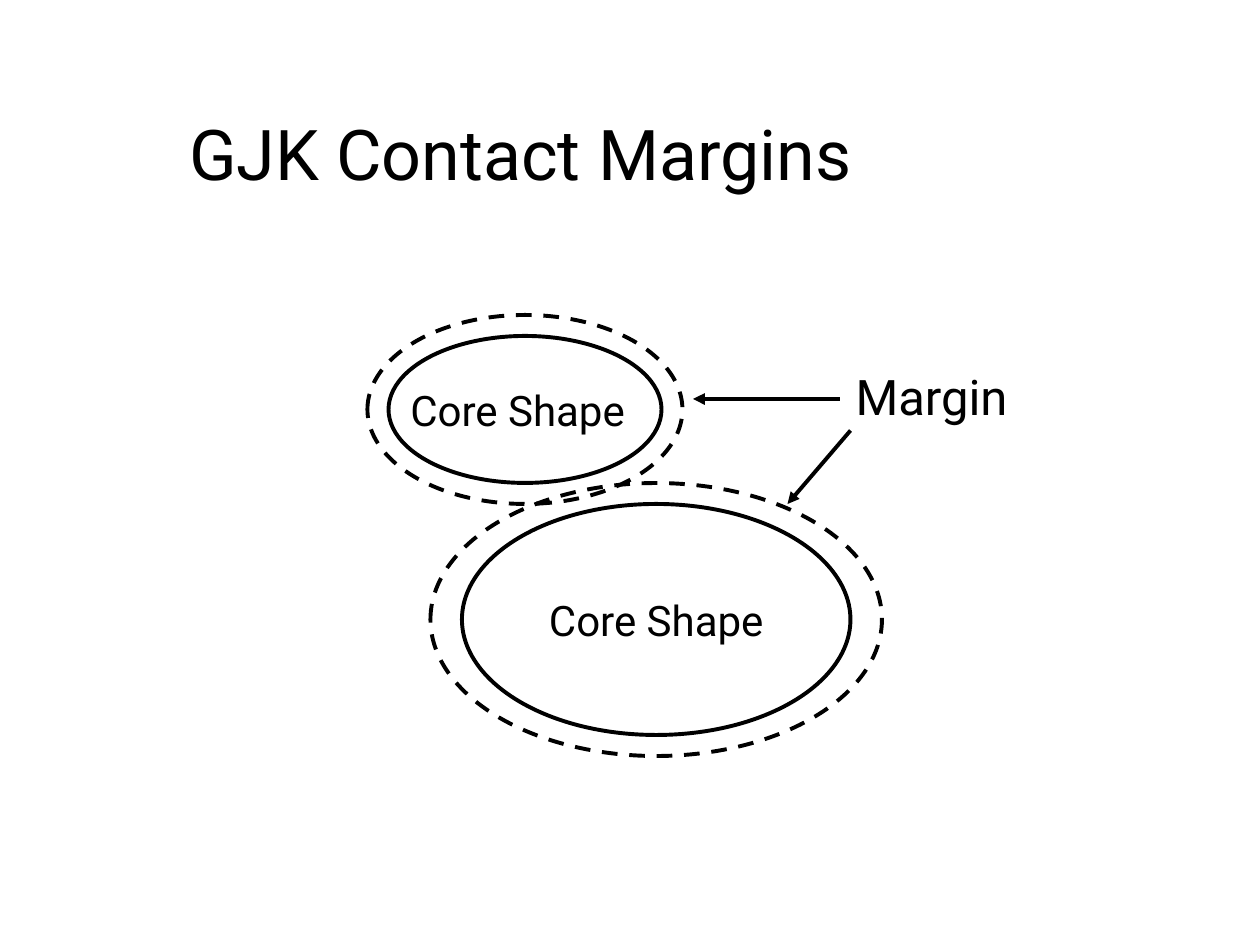
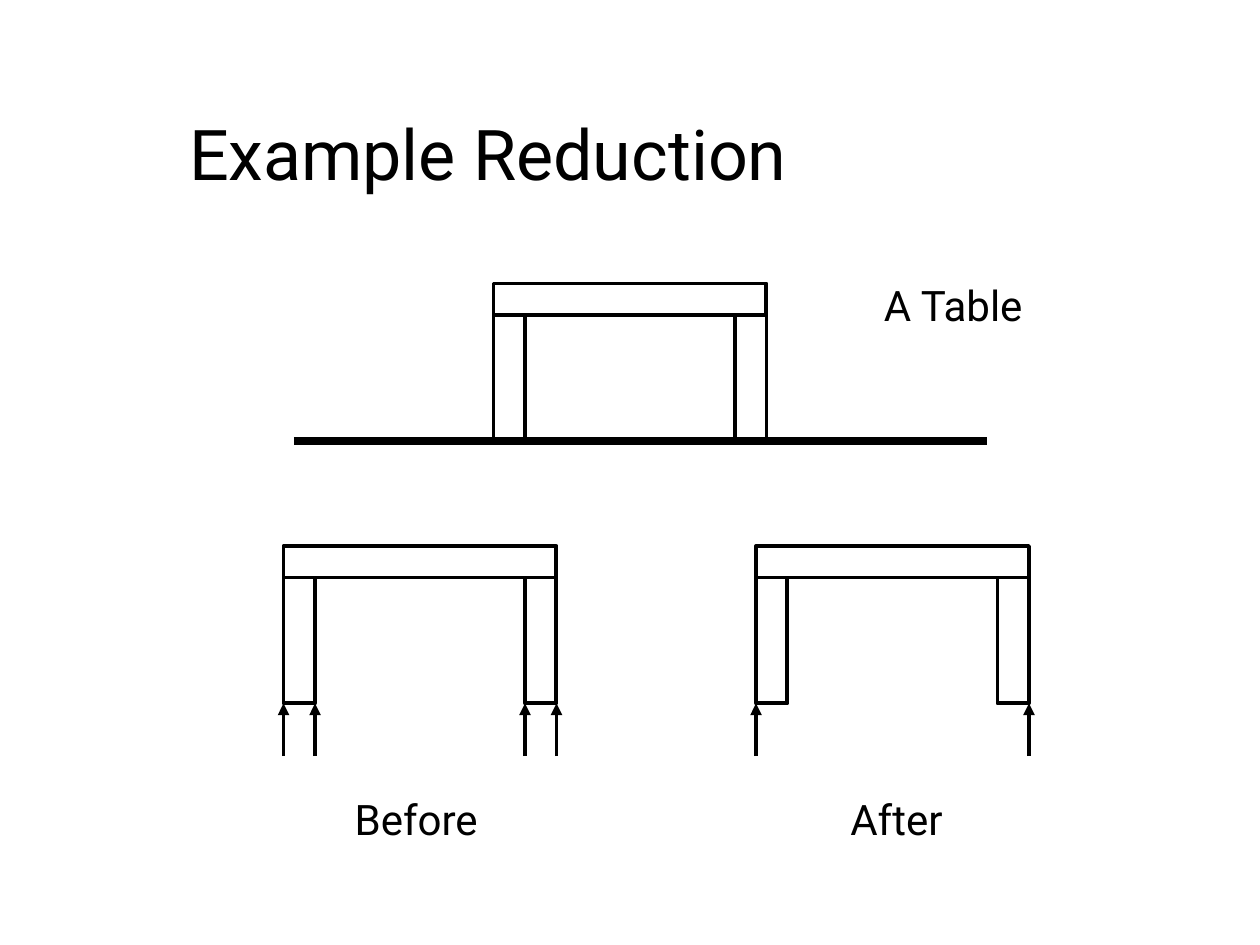
from pptx import Presentation
from pptx.dml.color import RGBColor
from pptx.enum.dml import MSO_LINE_DASH_STYLE as Dash
from pptx.enum.shapes import MSO_CONNECTOR as Connector, MSO_SHAPE as Shape
from pptx.enum.text import MSO_ANCHOR as Anchor, MSO_AUTO_SIZE as AutoSize, PP_ALIGN as Align
from pptx.oxml.ns import qn
from pptx.util import Inches, Pt
from lxml import etree

# Shared style; lengths are in grid units, 12 to the inch
COLUMNS, ROWS = 120, 90
FONT, INK = "Roboto", "000000"
LINE, GROUND_LINE = 2.25, 4.5
TABLE_WIDTH, BOARD, LEG_HEIGHT, ARROW_LENGTH = 26, 3, 12, 5


def grid(*units):
    return [Inches(unit / 12) for unit in units]


def colour(hex_code):
    return RGBColor.from_string(hex_code)


def style_line(line, width=LINE):
    line.color.rgb = colour(INK)
    line.width = Pt(width)


def style_text(frame, text, size):
    frame.text = text
    paragraph = frame.paragraphs[0]
    paragraph.alignment = Align.LEFT
    font = paragraph.runs[0].font
    font.name, font.size = FONT, Pt(size)
    font.color.rgb = colour(INK)


def add_titled_slide(deck, text):
    slide = deck.slides.add_slide(deck.slide_layouts.get_by_name("Title Only"))
    title = slide.shapes.title
    title.left, title.top, title.width, title.height = grid(16.8, 5, 93, 19)
    frame = title.text_frame
    frame.vertical_anchor = Anchor.MIDDLE
    frame.auto_size = AutoSize.NONE
    style_text(frame, text, 40)
    return slide


def add_outline(slide, kind, left, top, width, height, dashed=False):
    outline = slide.shapes.add_shape(kind, *grid(left, top, width, height))
    outline.shadow.inherit = False
    outline.fill.background()
    style_line(outline.line)
    if dashed:
        outline.line.dash_style = Dash.DASH


def add_label(slide, text, left, top, width, height=6, size=24):
    label = slide.shapes.add_textbox(*grid(left, top, width, height))
    frame = label.text_frame
    frame.word_wrap = False
    frame.auto_size = AutoSize.SHAPE_TO_FIT_TEXT
    style_text(frame, text, size)


def add_line(slide, start, end, width=LINE, arrow=True):
    line = slide.shapes.add_connector(Connector.STRAIGHT, *grid(*start, *end))
    style_line(line.line, width)
    if arrow:
        outline = line.line._get_or_add_ln()
        etree.SubElement(outline, qn("a:tailEnd"), type="triangle")
    etree.SubElement(line._element.spPr, qn("a:effectLst"))


def add_core_shape(slide, left, top, width, height, margin_x, margin_y):
    add_outline(slide, Shape.OVAL, left, top, width, height)
    add_outline(slide, Shape.OVAL, left - margin_x, top - margin_y,
                width + 2 * margin_x, height + 2 * margin_y, dashed=True)


def add_table_drawing(slide, left, top, contacts=()):
    """Draw a table side-on, with an arrow under each contact offset."""
    leg_top = top + BOARD
    add_outline(slide, Shape.RECTANGLE, left, top, TABLE_WIDTH, BOARD)
    for offset in (0, TABLE_WIDTH - BOARD):
        add_outline(slide, Shape.RECTANGLE, left + offset, leg_top, BOARD, LEG_HEIGHT)
    foot = leg_top + LEG_HEIGHT
    for offset in contacts:
        add_line(slide, (left + offset, foot + ARROW_LENGTH), (left + offset, foot))


def build_margins(deck):
    slide = add_titled_slide(deck, "GJK Contact Margins")
    # Two bodies whose margins overlap
    add_core_shape(slide, 44, 48, 37, 22, 3, 2)
    add_core_shape(slide, 37, 32, 26, 14, 2, 2)
    add_label(slide, "Core Shape", 51.1, 56, 23.9)
    add_label(slide, "Core Shape", 37.9, 36, 23.9)
    # Margin callout
    add_label(slide, "Margin", 80.3, 34.3, 18.1, 6.8, size=28)
    add_line(slide, (81, 41), (75, 48))
    add_line(slide, (80, 38), (66, 38))


def build_reduction(deck):
    slide = add_titled_slide(deck, "Example Reduction")
    # Table standing on the ground
    add_table_drawing(slide, 47, 27)
    add_line(slide, (28, 42), (94, 42), GROUND_LINE, arrow=False)
    add_label(slide, "A Table", 83, 26, 16.2)
    # Contacts before and after the reduction
    outer = (0, TABLE_WIDTH)
    inner = (BOARD, TABLE_WIDTH - BOARD)
    add_table_drawing(slide, 27, 52, sorted(outer + inner))
    add_table_drawing(slide, 72, 52, outer)
    add_label(slide, "Before", 32.6, 75, 14.9)
    add_label(slide, "After", 79.8, 75, 11.6)


def main():
    deck = Presentation()
    deck.slide_width, deck.slide_height = grid(COLUMNS, ROWS)
    build_margins(deck)
    build_reduction(deck)
    deck.save("out.pptx")


if __name__ == "__main__":
    main()
